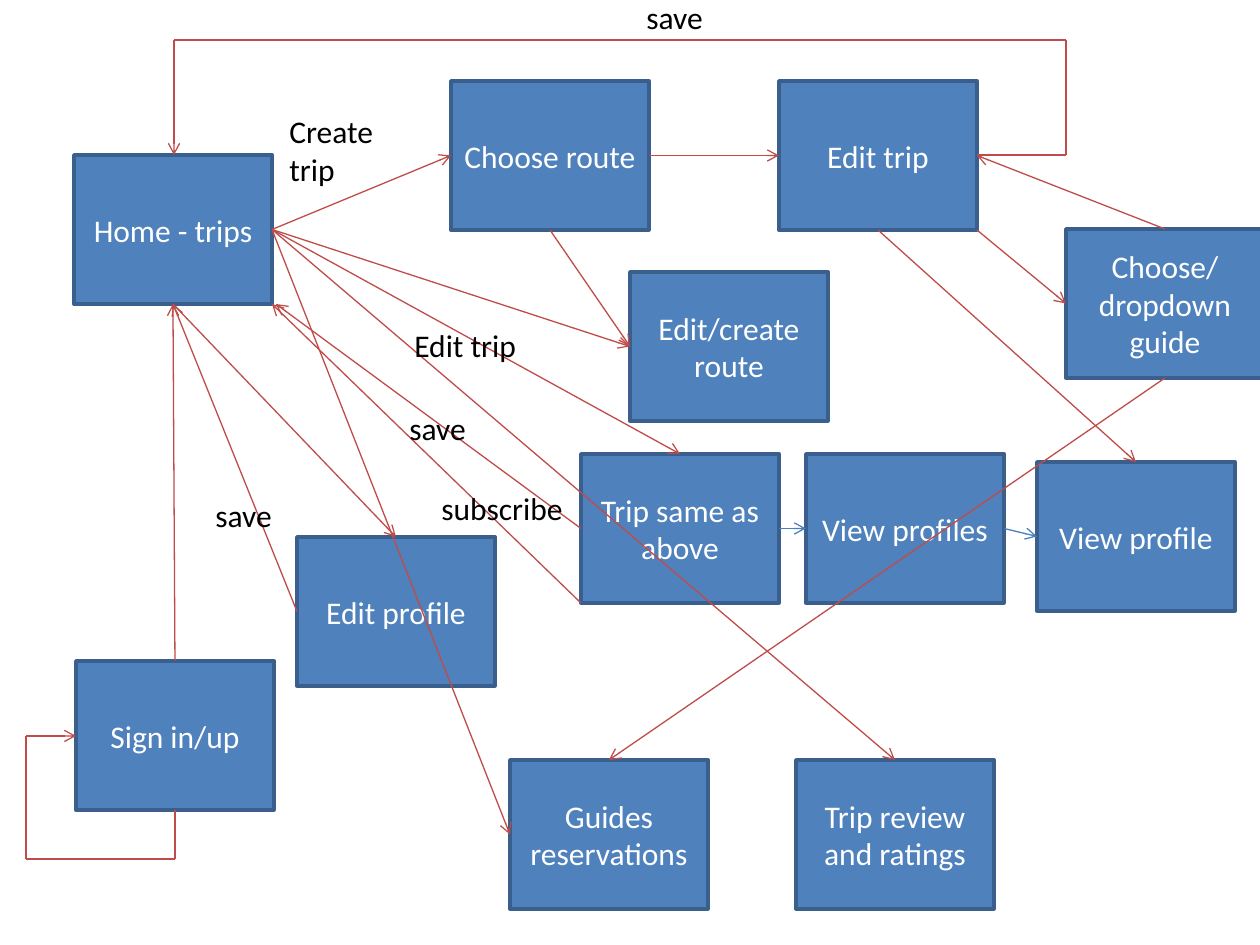
from itertools import pairwise

from lxml.etree import SubElement
from pptx import Presentation
from pptx.dml.color import RGBColor
from pptx.enum.shapes import MSO_CONNECTOR, MSO_SHAPE
from pptx.enum.text import MSO_ANCHOR, PP_ALIGN
from pptx.oxml.ns import qn
from pptx.util import Pt

PX = 914400 // 126
BOX_W, BOX_H = 198, 149
RED, BLUE = "BF4C48", "4B7EBC"

# Screens: name -> (text, left, top)
SCREENS = {
    "home": ("Home - trips", 74, 155),
    "choose_route": ("Choose route", 451, 81),
    "edit_trip": ("Edit trip", 779, 81),
    "guide": ("Choose/dropdown guide", 1066, 229),
    "profile": ("View profile", 1037, 462),
    "edit_route": ("Edit/create route", 630, 272),
    "sign_in": ("Sign in/up", 76, 661),
    "edit_profile": ("Edit profile", 297, 537),
    "same_trip": ("Trip same as above", 581, 454),
    "profiles": ("View profiles", 806, 454),
    "reservations": ("Guides reservations", 510, 760),
    "review": ("Trip review and ratings", 796, 760),
}

# Arrows: from screen, side, to screen, side, colour
ARROWS = [
    ("home", "right", "choose_route", "left", RED),
    ("choose_route", "right", "edit_trip", "left", RED),
    ("choose_route", "bottom", "edit_route", "left", RED),
    ("edit_trip", "corner", "guide", "left", RED),
    ("guide", "top", "edit_trip", "right", RED),
    ("edit_trip", "bottom", "profile", "top", RED),
    ("home", "right", "edit_route", "left", RED),
    ("sign_in", "top", "home", "bottom", RED),
    ("home", "bottom", "edit_profile", "top", RED),
    ("edit_profile", "left", "home", "bottom", RED),
    ("home", "right", "same_trip", "top", RED),
    ("same_trip", "left", "home", "near_corner", RED),
    ("home", "right", "reservations", "left", RED),
    ("same_trip", "left_corner", "home", "corner", RED),
    ("same_trip", "right", "profiles", "left", BLUE),
    ("profiles", "right", "profile", "left", BLUE),
    ("home", "right", "review", "top", RED),
    ("guide", "bottom", "reservations", "top", RED),
]

# Bent paths, with the arrowhead on the last leg
PATHS = [
    [(977, 155), (1066, 155), (1066, 40), (174, 40), (174, 155)],
    [(175, 810), (175, 859), (26, 859), (26, 736), (76, 736)],
]

# Labels: text, left, top, height
LABELS = [
    ("Create trip", 277, 106, 89),
    ("save", 634, -8, 50),
    ("save", 203, 490, 50),
    ("Edit trip", 402, 320, 50),
    ("save", 397, 403, 50),
    ("subscribe", 429, 483, 50),
]
LABEL_W = 149

# Offsets of the attachment points, and the sites a connector can be glued to
OFFSETS = {
    "top": (BOX_W / 2, 0), "left": (0, BOX_H / 2),
    "bottom": (BOX_W / 2, BOX_H), "right": (BOX_W, BOX_H / 2),
    "corner": (BOX_W, BOX_H), "left_corner": (0, BOX_H),
    "near_corner": (BOX_W + 4, BOX_H),
}
SITES = {"top": 0, "left": 1, "bottom": 2, "right": 3}


def px(n):
    return round(n * PX)


def rgb(color):
    return RGBColor.from_string(color)


def style(p, color):
    p.font.name, p.font.size = "Calibri", Pt(18)
    p.font.color.rgb = rgb(color)


def add_screen(s, text, x, y):
    sp = s.shapes.add_shape(MSO_SHAPE.RECTANGLE, px(x), px(y), px(BOX_W), px(BOX_H))
    sp.shadow.inherit = False
    sp.fill.solid()
    sp.fill.fore_color.rgb = rgb("4F81BD")
    sp.line.color.rgb = rgb("3A5F8C")
    sp.line.width = Pt(2)
    tf = sp.text_frame
    tf.word_wrap = True
    tf.vertical_anchor = MSO_ANCHOR.MIDDLE
    p = tf.paragraphs[0]
    p.text, p.alignment = text, PP_ALIGN.CENTER
    style(p, "FFFFFF")
    return sp


def add_line(s, start, end, color=RED, arrow=True):
    c = s.shapes.add_connector(MSO_CONNECTOR.STRAIGHT, *map(px, start + end))
    c.line.color.rgb = rgb(color)
    c.line.width = Pt(0.75)
    if arrow:
        SubElement(c.line._get_or_add_ln(), qn("a:tailEnd"), type="arrow")
    SubElement(c._element.spPr, qn("a:effectLst"))
    return c


def anchor(screen, side):
    _, x, y = SCREENS[screen]
    dx, dy = OFFSETS[side]
    return x + dx, y + dy


def add_label(s, text, x, y, h):
    tf = s.shapes.add_textbox(px(x), px(y), px(LABEL_W), px(h)).text_frame
    tf.word_wrap = True
    p = tf.paragraphs[0]
    p.text = text
    style(p, "000000")


def main():
    prs = Presentation()
    prs.slide_width, prs.slide_height = px(1260), px(945)
    s = prs.slides.add_slide(prs.slide_layouts[6])

    boxes = {name: add_screen(s, *screen) for name, screen in SCREENS.items()}

    for src, src_side, dst, dst_side, color in ARROWS:
        c = add_line(s, anchor(src, src_side), anchor(dst, dst_side), color)
        if src_side in SITES:
            c.begin_connect(boxes[src], SITES[src_side])
        if dst_side in SITES:
            c.end_connect(boxes[dst], SITES[dst_side])

    for path in PATHS:
        for start, end in pairwise(path):
            add_line(s, start, end, arrow=end == path[-1])

    for label in LABELS:
        add_label(s, *label)

    prs.save("out.pptx")


if __name__ == "__main__":
    main()
